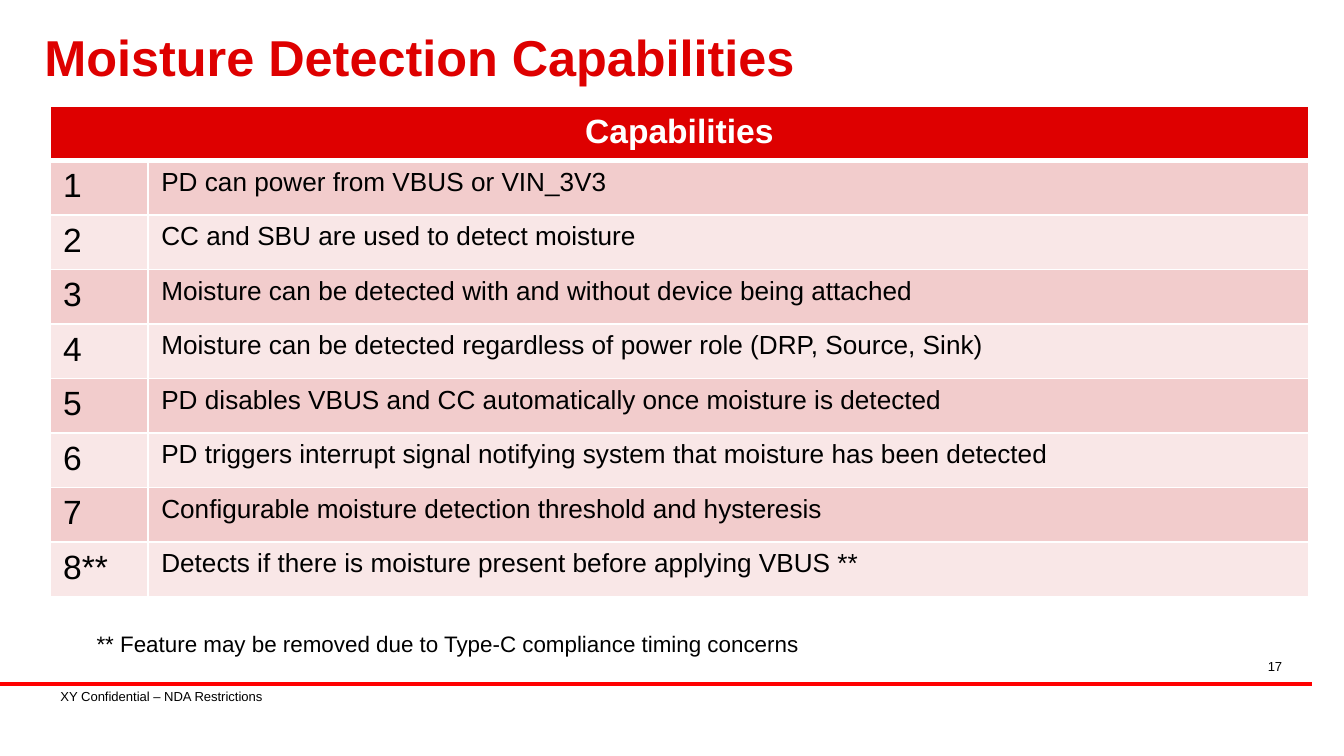
import pptx
import pptx.dml.color
import pptx.enum.shapes
import pptx.enum.text
import pptx.oxml.ns
import pptx.util
from lxml import etree

Inches = pptx.util.Inches
Align = pptx.enum.text.PP_ALIGN
Anchor = pptx.enum.text.MSO_ANCHOR

TITLE = "Moisture Detection Capabilities"
HEADER = "Capabilities"
CAPABILITIES = [
    ("1", "PD can power from VBUS or VIN_3V3"),
    ("2", "CC and SBU are used to detect moisture"),
    ("3", "Moisture can be detected with and without device being attached"),
    ("4", "Moisture can be detected regardless of power role (DRP, Source, Sink)"),
    ("5", "PD disables VBUS and CC automatically once moisture is detected"),
    ("6", "PD triggers interrupt signal notifying system that moisture has been detected"),
    ("7", "Configurable moisture detection threshold and hysteresis"),
    ("8**", "Detects if there is moisture present before applying VBUS **"),
]
FOOTNOTE = "** Feature may be removed due to Type-C compliance timing concerns"
CONFIDENTIALITY = "XY Confidential – NDA Restrictions"
PAGE_NUMBER = "17"

THEME = {
    "font": "Arial",
    "red": "DE0000", "rule": "FF0000", "text": "000000", "white": "FFFFFF",
    "bands": ("F2CCCC", "F9E7E7"),
    "title": 27, "number": 18, "body": 14, "note": 12, "small": 7,
    "rule_width": 2.25, "border": 1, "header_border": 3,
}
SLIDE_WIDTH = 10
SLIDE_HEIGHT = SLIDE_WIDTH * 9 / 16
COLUMN_WIDTHS = (0.73, 8.64)
TABLE_LEFT, TABLE_TOP, TABLE_HEIGHT = 0.37, 0.79, 3.65


def color(name):
    return pptx.dml.color.RGBColor.from_string(name)


def write_text(frame, text, size, ink=THEME["text"], bold=False,
               align=Align.LEFT, line_spacing=None):
    paragraph = frame.paragraphs[0]
    paragraph.alignment = align
    if line_spacing:
        paragraph.line_spacing = line_spacing
    run = paragraph.add_run()
    run.text = text
    run.font.name = THEME["font"]
    run.font.size = pptx.util.Pt(size)
    run.font.bold = bold
    run.font.color.rgb = color(ink)


def add_text_box(slide, box, text, size, anchor=Anchor.TOP, inset=(0.08, 0.04), **text_format):
    frame = slide.shapes.add_textbox(*map(Inches, box)).text_frame
    frame.word_wrap = True
    frame.vertical_anchor = anchor
    frame.margin_left = frame.margin_right = Inches(inset[0])
    frame.margin_top = frame.margin_bottom = Inches(inset[1])
    write_text(frame, text, size, **text_format)


def style_cell(cell, fill, top, bottom):
    """Fill the cell and give it white borders; top and bottom are widths in points."""
    properties = cell._tc.get_or_add_tcPr()
    widths = {"a:lnL": THEME["border"], "a:lnR": THEME["border"], "a:lnT": top, "a:lnB": bottom}
    for tag, width in widths.items():
        line = etree.SubElement(properties, pptx.oxml.ns.qn(tag), w=str(pptx.util.Pt(width)))
        solid = etree.SubElement(line, pptx.oxml.ns.qn("a:solidFill"))
        etree.SubElement(solid, pptx.oxml.ns.qn("a:srgbClr"), val=THEME["white"])
    cell.fill.solid()
    cell.fill.fore_color.rgb = color(fill)


def add_capability_table(slide):
    row_count = len(CAPABILITIES) + 1
    table = slide.shapes.add_table(
        row_count, len(COLUMN_WIDTHS), Inches(TABLE_LEFT), Inches(TABLE_TOP),
        Inches(sum(COLUMN_WIDTHS)), Inches(TABLE_HEIGHT)).table
    for column, width in zip(table.columns, COLUMN_WIDTHS):
        column.width = Inches(width)
    for row in table.rows:
        row.height = Inches(TABLE_HEIGHT / row_count)

    thin, thick = THEME["border"], THEME["header_border"]
    header = table.cell(0, 0)
    header.merge(table.cell(0, 1))
    for column in range(len(COLUMN_WIDTHS)):
        style_cell(table.cell(0, column), THEME["red"], thin, thick)
    write_text(header.text_frame, HEADER, THEME["number"], ink=THEME["white"],
               bold=True, align=Align.CENTER)

    for row, texts in enumerate(CAPABILITIES, start=1):
        band = THEME["bands"][(row - 1) % 2]
        for column, (text, size) in enumerate(zip(texts, (THEME["number"], THEME["body"]))):
            cell = table.cell(row, column)
            style_cell(cell, band, thick if row == 1 else thin, thin)
            write_text(cell.text_frame, text, size)


def add_footer_rule(slide):
    rule = slide.shapes.add_connector(
        pptx.enum.shapes.MSO_CONNECTOR.STRAIGHT,
        Inches(0), Inches(5.09), Inches(9.76), Inches(5.09))
    rule.line.color.rgb = color(THEME["rule"])
    rule.line.width = pptx.util.Pt(THEME["rule_width"])
    etree.SubElement(rule._element.spPr, pptx.oxml.ns.qn("a:effectLst"))


def main():
    presentation = pptx.Presentation()
    presentation.slide_width = Inches(SLIDE_WIDTH)
    presentation.slide_height = Inches(SLIDE_HEIGHT)
    slide = presentation.slides.add_slide(presentation.slide_layouts[6])
    add_footer_rule(slide)
    add_text_box(slide, (0.37, 5.08, 2.31, 0.2), CONFIDENTIALITY, THEME["small"],
                 anchor=Anchor.MIDDLE)
    add_text_box(slide, (0.25, 0.12, 9.25, 0.67), TITLE, THEME["title"], anchor=Anchor.MIDDLE,
                 ink=THEME["red"], bold=True, line_spacing=0.85)
    add_capability_table(slide)
    add_text_box(slide, (7.29, 4.86, 2.33, 0.17), PAGE_NUMBER, THEME["small"], align=Align.RIGHT)
    add_text_box(slide, (0.62, 4.44, 7.72, 0.5), FOOTNOTE, THEME["note"],
                 anchor=Anchor.BOTTOM, inset=(0.1, 0.05))
    presentation.save("out.pptx")


if __name__ == "__main__":
    main()
